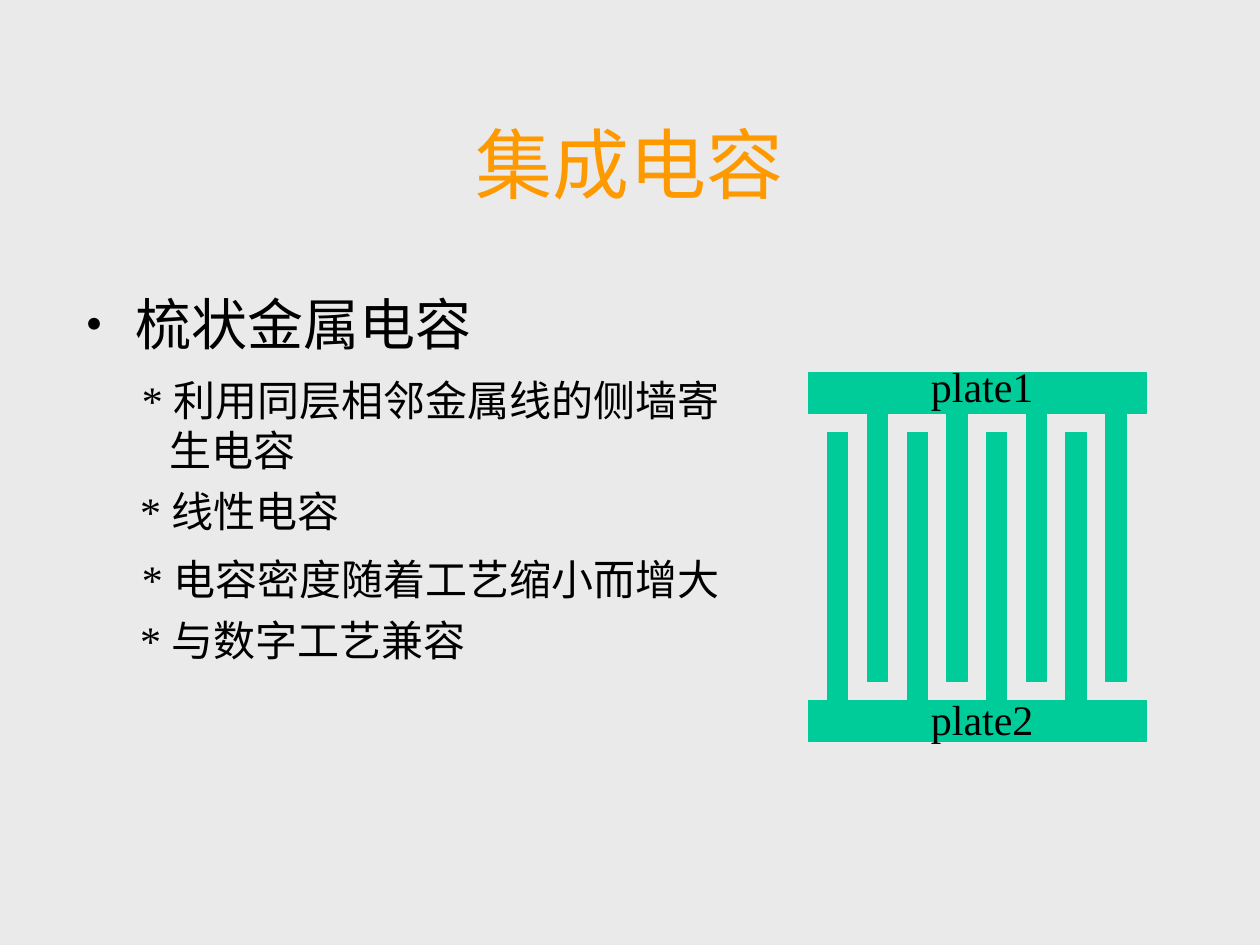
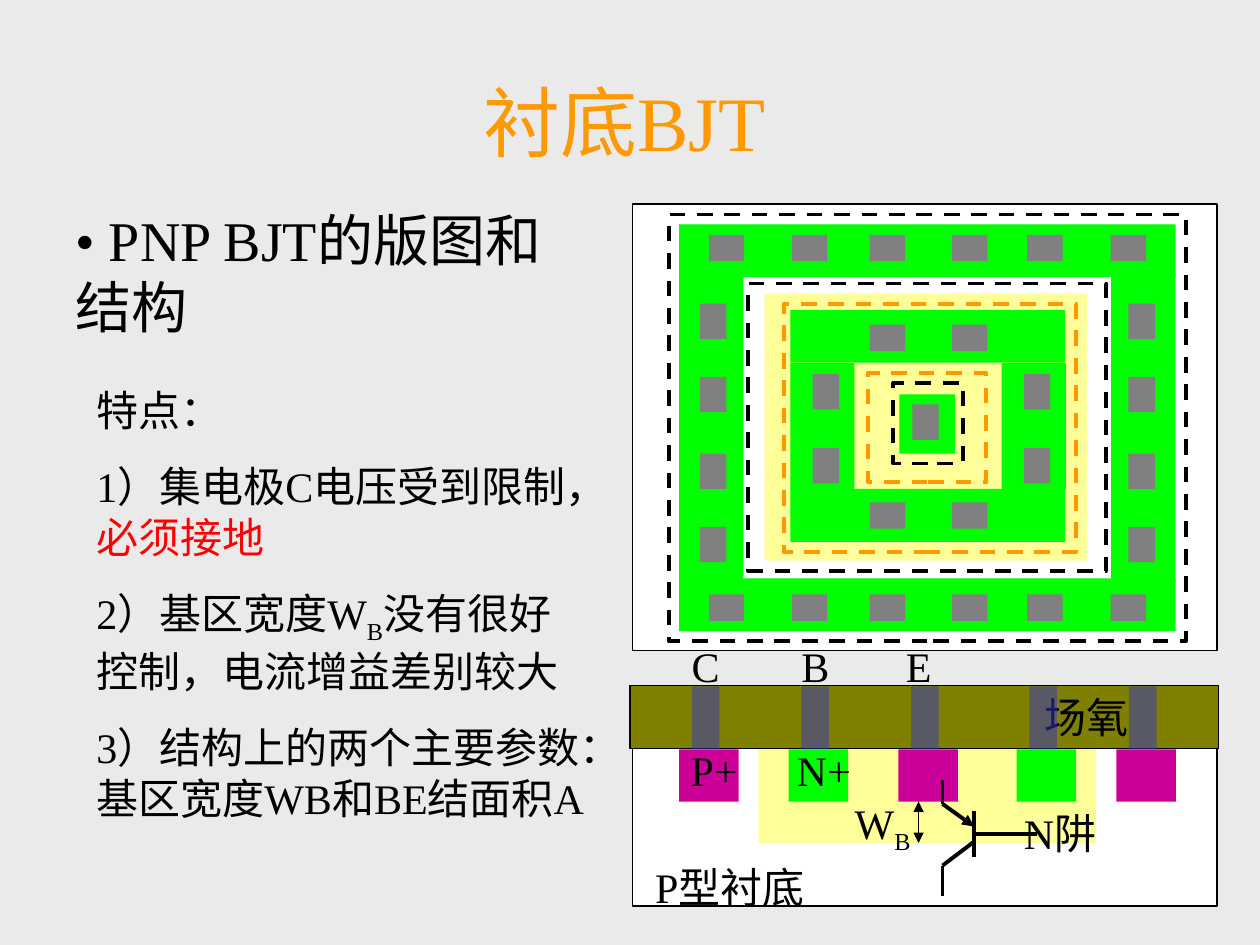
from itertools import product

from lxml import etree
from pptx import Presentation
from pptx.dml.color import RGBColor
from pptx.enum.dml import MSO_LINE
from pptx.enum.lang import MSO_LANGUAGE_ID
from pptx.enum.shapes import MSO_CONNECTOR, MSO_SHAPE
from pptx.enum.text import MSO_ANCHOR, PP_ALIGN
from pptx.oxml.ns import qn
from pptx.util import Pt

RECT = MSO_SHAPE.RECTANGLE
STRAIGHT = MSO_CONNECTOR.STRAIGHT
DASH = MSO_LINE.DASH
CHINESE = MSO_LANGUAGE_ID.SIMPLIFIED_CHINESE
TOP, MIDDLE = MSO_ANCHOR.TOP, MSO_ANCHOR.MIDDLE
LEFT, CENTER = PP_ALIGN.LEFT, PP_ALIGN.CENTER

FONT = "Times New Roman"
PAPER = RGBColor(0xEA, 0xEA, 0xEA)
ORANGE = RGBColor(0xFF, 0x99, 0x00)
BLACK = RGBColor(0x00, 0x00, 0x00)
WHITE = RGBColor(0xFF, 0xFF, 0xFF)
RED = RGBColor(0xFF, 0x00, 0x00)
METAL = RGBColor(0x00, 0xCC, 0x99)
WELL = RGBColor(0xFF, 0xFF, 0x99)
OXIDE = RGBColor(0x80, 0x80, 0x00)
PLUG = RGBColor(0x33, 0x33, 0xCC)
P_PLUS = RGBColor(0xCC, 0x00, 0x99)
N_PLUS = RGBColor(0x00, 0xFF, 0x00)
CONTACT = RGBColor(0x80, 0x80, 0x80)


def add_run(p, text, size=24, color=BLACK, sub=False):
    """Add one formatted run to a paragraph."""
    r = p.add_run()
    r.text = text
    r.font.name, r.font.size = FONT, Pt(size)
    r.font.color.rgb = color
    r.font.language_id = CHINESE
    if sub:
        r._r.get_or_add_rPr().set("baseline", "-25000")


class Deck:
    """Hold the presentation style and the current slide."""

    def __init__(self):
        self.prs = Presentation()
        self.prs.slide_width, self.prs.slide_height = Pt(720), Pt(540)
        self.s = None

    def slide(self, title, x, y, w):
        self.s = self.prs.slides.add_slide(self.prs.slide_layouts[6])
        fill = self.s.background.fill
        fill.solid()
        fill.fore_color.rgb = PAPER
        self.text([title], x, y, w, 90, anchor=MIDDLE, align=CENTER,
                  size=44, color=ORANGE)

    def text(self, paragraphs, x, y, w, h=36, anchor=TOP, align=LEFT, before=0,
             **fmt):
        """Add a text box; a paragraph is a string or a list of (text, format)."""
        tf = self.s.shapes.add_textbox(Pt(x), Pt(y), Pt(w), Pt(h)).text_frame
        tf.word_wrap = True
        tf.vertical_anchor = anchor
        for i, runs in enumerate(paragraphs):
            p = tf.paragraphs[0] if i == 0 else tf.add_paragraph()
            p.alignment = align
            p.space_before = Pt(before if i else 0)
            for text, own in [(runs, {})] if isinstance(runs, str) else runs:
                add_run(p, text, **{**fmt, **own})
        return tf

    def label(self, text, x, y, w):
        self.text([text], x, y, w, align=CENTER)

    def rect(self, x, y, w, h, fill=None, line=None, width=0.75, dash=None,
             alpha=None):
        sp = self.s.shapes.add_shape(RECT, Pt(x), Pt(y), Pt(w), Pt(h))
        sp.shadow.inherit = False
        if fill is None:
            sp.fill.background()
        else:
            sp.fill.solid()
            sp.fill.fore_color.rgb = fill
        if alpha:
            color = sp._element.spPr.find(".//" + qn("a:srgbClr"))
            etree.SubElement(color, qn("a:alpha"), val=str(alpha * 1000))
        if line is None:
            sp.line.fill.background()
        else:
            sp.line.color.rgb = line
            sp.line.width = Pt(width)
            if dash:
                sp.line.dash_style = dash

    def line(self, x1, y1, x2, y2, width=2.25, ends=()):
        c = self.s.shapes.add_connector(STRAIGHT, Pt(x1), Pt(y1), Pt(x2), Pt(y2))
        c.line.color.rgb = BLACK
        c.line.width = Pt(width)
        spPr = c._element.spPr
        for end in ends:
            etree.SubElement(spPr.find(qn("a:ln")), qn(end), type="triangle")
        etree.SubElement(spPr, qn("a:effectLst"))


def comb_capacitor(d):
    d.slide("集成电容", 54, 48, 612)
    tf = d.text([[("• 梳状金属电容", {"size": 32})],
                 "* 利用同层相邻金属线的侧墙寄生电容",
                 "* 线性电容",
                 "* 电容密度随着工艺缩小而增大",
                 "* 与数字工艺兼容"], 31, 162, 408, 250)
    for p, first, before in zip(tf.paragraphs[1:], (43, 42, 43, 42), (10, 6, 10, 6)):
        pPr = p._p.get_or_add_pPr()
        pPr.set("marL", str(Pt(58.5)))
        pPr.set("indent", str(Pt(first) - Pt(58.5)))
        p.space_before = Pt(before)

    for i in range(8):
        d.rect(473 + 22.7 * i, 236.2 if i % 2 else 247, 11.5, 153.4, METAL, METAL)
    for name, bar_y, label_y in (("plate1", 213.1, 202.3), ("plate2", 400.3, 392.7)):
        d.rect(462.2, bar_y, 193, 23.3, METAL, METAL)
        d.label(name, 507.6, label_y, 107.3)


def bjt_notes(d):
    d.text(["• PNP BJT的版图和结构"], 36, 114, 312.5, 172, size=32)
    d.text(["特点：",
            [("1）集电极C电压受到限制，", {}), ("必须接地", {"color": RED})],
            [("2）基区宽度W", {}), ("B", {"sub": True}),
             ("没有很好控制，电流增益差别较大", {})],
            "3）结构上的两个主要参数：基区宽度WB和BE结面积A"],
           48, 216, 294, 286, before=15)


def bjt_section(d):
    d.rect(361.4, 427.7, 334, 90, WHITE, BLACK)
    d.rect(433.4, 427.7, 193, 54, WELL)
    d.rect(360, 391.7, 336.2, 36, OXIDE, BLACK)
    d.label("P型衬底", 357, 489, 120)
    d.label("场氧", 578.3, 391.7, 85)
    d.label("N阱", 556, 458, 99.4)
    diffusions = zip((388.1, 450.7, 513.4, 581, 637.9),
                     (P_PLUS, N_PLUS, P_PLUS, N_PLUS, P_PLUS))
    for x, color in diffusions:
        d.rect(x, 428.2, 34, 30, color)
        d.rect(x + 7.2, 392.2, 15.8, 36, PLUG, alpha=50)
    for name, x in (("C", 382.3), ("B", 445), ("E", 504)):
        d.label(name, x, 362.2, 41.8)
    d.label("P+", 379.6, 422, 57)
    d.label("N+", 442.2, 422, 57)
    d.label([("W", {}), ("B", {"sub": True})], 474.5, 452.2, 59.8)
    d.line(524.9, 458, 524.9, 481.7, 0.75, ("a:headEnd", "a:tailEnd"))

    base_x, lead_x = 556.6, 538.6
    d.line(base_x, 489.6, base_x, 463.7)
    d.line(lead_x, 494.6, base_x, 481)
    d.line(base_x, 472.3, lead_x, 459.4, ends=["a:headEnd"])
    d.line(base_x, 476.6, 592.6, 476.6)
    d.line(lead_x, 494.6, lead_x, 512)
    d.line(lead_x, 459.4, lead_x, 445.7)


def bjt_layout(d):
    d.rect(361.4, 116.6, 334, 255, WHITE, BLACK)
    d.rect(437, 167.8, 184.3, 152.6, WELL)
    rings = (((388.1, 635), (128.2, 330.5), 283.7, 157, 175.7),
             ((451.6, 572.4), (177.1, 279.4), 157, 207.5, 72))
    for sides, ends, width, side_y, side_h in rings:
        for y in ends:
            d.rect(sides[0], y, width, 30.2, N_PLUS)
        for x in sides:
            d.rect(x, side_y, 36.7, side_h, N_PLUS)
    d.rect(514, 225.4, 31.7, 33.8, N_PLUS)

    long, short = 20.2, 15.1
    columns = (405, 452.5, 497, 544, 587, 634.7)
    flat = [*product(columns, (134.2, 339.7)),
            *product(columns[2:4], (185.5, 287))]
    upright = [*product((400, 644.8), (173.5, 215.3, 259.2, 301)),
               *product((464.4, 585), (213.8, 256)), (521.3, 231.1)]
    for x, y in flat:
        d.rect(x, y, long, short, CONTACT)
    for x, y in upright:
        d.rect(x, y, short, long, CONTACT)

    masks = ((510.5, 218.9, 39.6, 46, BLACK), (427.7, 162, 204.5, 164.2, BLACK),
             (447.8, 173.5, 167, 141.8, ORANGE), (496, 213.1, 67.7, 62.6, ORANGE),
             (382.3, 122.6, 295.2, 244, BLACK))
    for x, y, w, h, color in masks:
        d.rect(x, y, w, h, line=color, width=2.25, dash=DASH)


def main():
    d = Deck()
    comb_capacitor(d)
    d.slide("衬底BJT", 30, 24, 654)
    bjt_notes(d)
    bjt_section(d)
    bjt_layout(d)
    d.prs.save("out.pptx")


if __name__ == "__main__":
    main()
